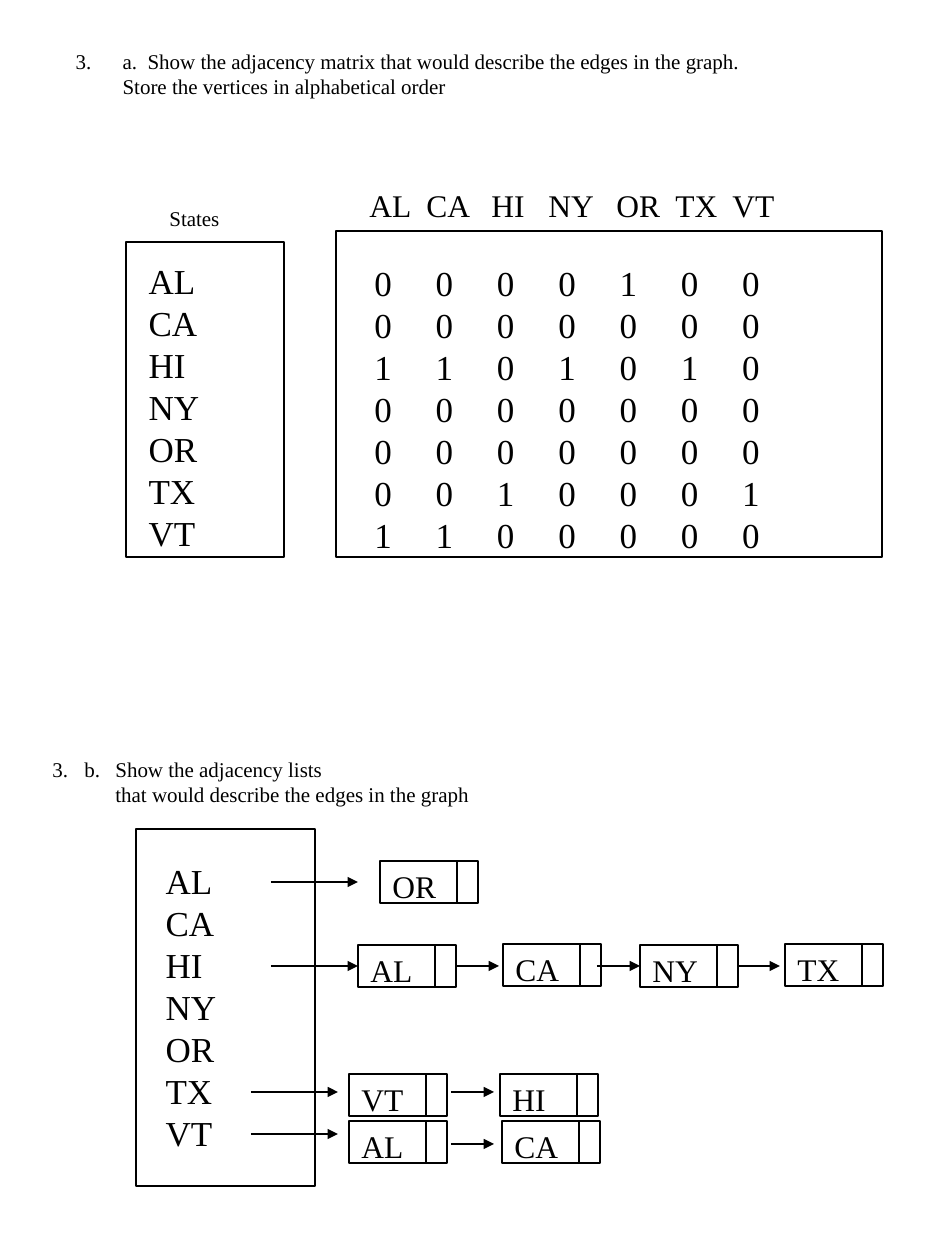
from dataclasses import dataclass

from lxml.etree import SubElement
from pptx import Presentation
from pptx.dml.color import RGBColor
from pptx.enum.shapes import MSO_CONNECTOR, MSO_SHAPE
from pptx.enum.text import MSO_ANCHOR, MSO_AUTO_SIZE, PP_ALIGN
from pptx.oxml.ns import qn
from pptx.util import Pt

SCALE = 914400 / 126
STATES = ["AL", "CA", "HI", "NY", "OR", "TX", "VT"]
EDGES = {"AL": ["OR"], "HI": ["AL", "CA", "NY", "TX"], "TX": ["VT", "HI"], "VT": ["AL", "CA"]}
MATRIX = ["0000100", "0000000", "1101010", "0000000", "0000000", "0010001", "1100000"]


@dataclass(frozen=True)
class Theme:
    """Colours and type sizes."""
    ink: RGBColor = RGBColor(0, 0, 0)
    font: str = "Times New Roman"
    note: int = 12
    label: int = 18
    entry: int = 20
    line: float = 0.75


THEME = Theme()


def px(n):
    """Turn pixels into EMU."""
    return round(n * SCALE)


def place(shape, x, y, w, h):
    """Move and size a shape."""
    shape.left, shape.top, shape.width, shape.height = map(px, (x, y, w, h))
    return shape


def write(shape, text, size, tabs=(), margin=None, number=None):
    """Fill a shape with left-aligned text."""
    frame = shape.text_frame
    frame.text = text
    frame.word_wrap = True
    frame.auto_size = MSO_AUTO_SIZE.NONE
    frame.vertical_anchor = MSO_ANCHOR.TOP
    for para in frame.paragraphs:
        para.alignment = PP_ALIGN.LEFT
        para.line_spacing = Pt(1.2 * size)
        para.space_before = para.space_after = Pt(0)
        props = para._p.get_or_add_pPr()
        if margin is not None:
            props.set("marL", str(px(margin)))
            props.set("indent", str(-px(margin)))
        if number:
            SubElement(props, qn("a:buAutoNum"), type="arabicPeriod", startAt=str(number))
        elif margin is not None:
            SubElement(props, qn("a:buNone"))
        if tabs:
            stops = SubElement(props, qn("a:tabLst"))
            for stop in tabs:
                SubElement(stops, qn("a:tab"), pos=str(px(stop)), algn="l")
        for run in para.runs:
            run.font.name = THEME.font
            run.font.size = Pt(size)
            run.font.color.rgb = THEME.ink
    return frame


def label(slide, text, box, size, tabs=()):
    """Add a text box."""
    return write(slide.shapes.add_textbox(*map(px, box)), text, size, tabs)


def frame(slide, x, y, w, h):
    """Add an outlined rectangle without fill."""
    rect = slide.shapes.add_shape(MSO_SHAPE.RECTANGLE, *map(px, (x, y, w, h)))
    rect.shadow.inherit = False
    rect.fill.background()
    rect.line.color.rgb = THEME.ink
    rect.line.width = Pt(THEME.line)
    return rect


def rule(slide, x1, y1, x2, y2):
    """Add a plain straight line."""
    line = slide.shapes.add_connector(MSO_CONNECTOR.STRAIGHT, *map(px, (x1, y1, x2, y2)))
    line.line.color.rgb = THEME.ink
    line.line.width = Pt(THEME.line)
    SubElement(line._element.spPr, qn("a:effectLst"))
    return line


def arrow(slide, y, x1, x2, start=None, end=None):
    """Add a level arrow, joined to nodes where they are given."""
    line = rule(slide, x1, y, x2, y)
    SubElement(line.line._get_or_add_ln(), qn("a:tailEnd"), type="triangle")
    if start:
        line.begin_connect(start, 3)
    if end:
        line.end_connect(end, 1)


def node(slide, name, x, y):
    """Add a list node with its link cell."""
    rect = frame(slide, x, y, 98, 42)
    write(rect, name, THEME.label)
    rule(slide, x + 77, y, x + 77, y + 42)
    return rect


def matrix(slide):
    """Add the matrix with its column and row heads."""
    frame(slide, 126, 242, 158, 315)
    frame(slide, 336, 231, 546, 326)
    label(slide, "States", (157, 199, 78, 38), THEME.note)
    label(slide, "\t".join(STATES), (357, 180, 450, 50), THEME.label,
          (57, 122, 179, 247, 306, 363))
    label(slide, "\n".join("\t".join(row) for row in MATRIX), (362, 255, 495, 310),
          THEME.entry, [61.3 * i for i in range(1, 7)])


def lists(slide):
    """Add the linked lists."""
    frame(slide, 136, 829, 179, 357)
    spots = {
        "AL": [(380, 861)],
        "HI": [(358, 945), (503, 944), (640, 945), (785, 944)],
        "TX": [(349, 1074), (500, 1074)],
        "VT": [(349, 1121), (502, 1121)],
    }
    nodes = {(state, name): node(slide, name, *spot)
             for state in spots for name, spot in zip(EDGES[state], spots[state])}
    first, third = nodes["HI", "AL"], nodes["HI", "NY"]
    arrow(slide, 882, 271, 358)
    arrow(slide, 966, 271, 358, end=first)
    arrow(slide, 966, 456, 499, start=first)
    arrow(slide, 966, 597, 640, end=third)
    arrow(slide, 966, 738, 780, start=third)
    for head, link in ((1092, 1092), (1134, 1144)):
        arrow(slide, head, 251, 338)
        arrow(slide, link, 451, 494)


def main():
    """Build and save the slide."""
    deck = Presentation()
    deck.slide_width, deck.slide_height = px(945), px(1260)
    slide = deck.slides.add_slide(deck.slide_layouts[3])
    title, left, right = slide.placeholders
    write(place(title, 63, 42, 735, 63),
          "a.  Show the adjacency matrix that would describe the edges in the graph. "
          "Store the vertices in alphabetical order", THEME.note, margin=47, number=3)
    for body, x, y in ((left, 136, 253), (right, 153, 853)):
        write(place(body, x, y, 136, 310), "\n".join(STATES), THEME.entry, margin=0)
    matrix(slide)
    lists(slide)
    task = label(slide, "3.\tb.\tShow the adjacency lists\n"
                 "that would describe the edges in the graph",
                 (40, 750, 450, 63), THEME.note, (32, 63))
    task.paragraphs[1]._p.pPr.set("marL", str(px(63)))
    deck.save("out.pptx")


if __name__ == "__main__":
    main()
